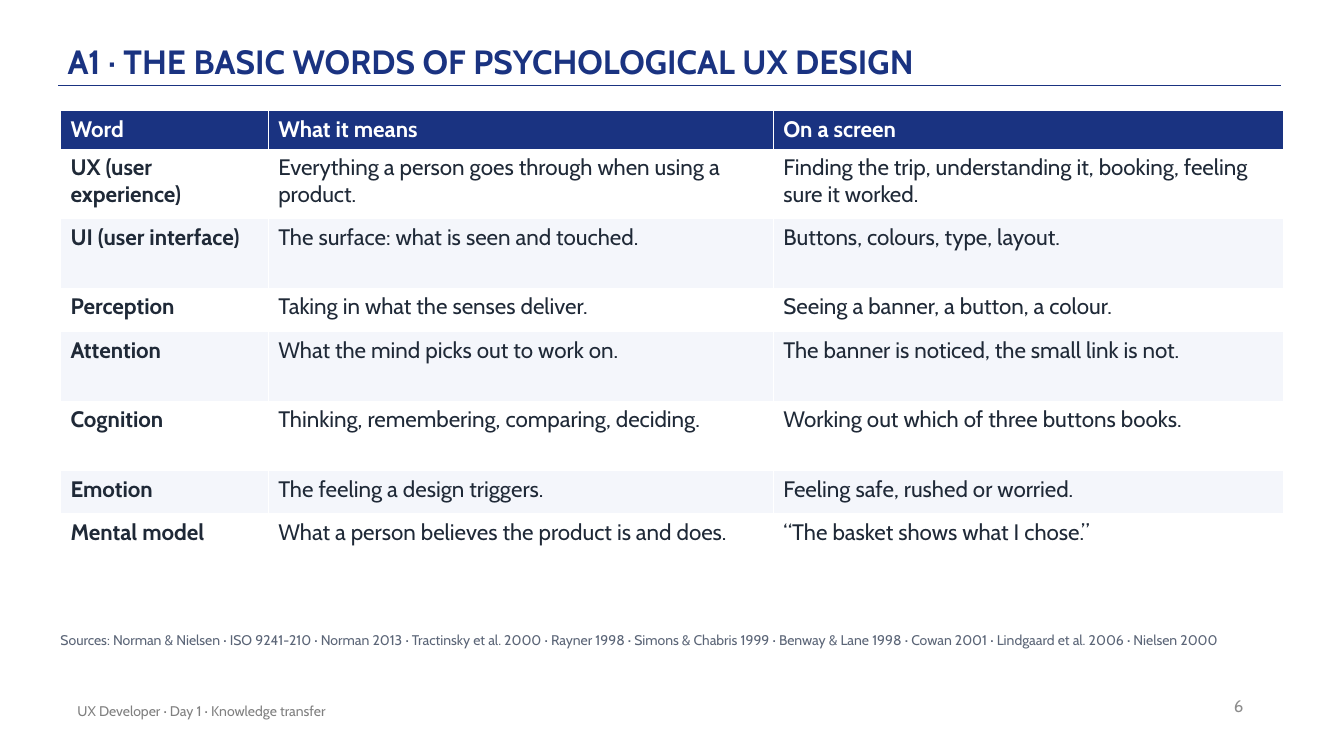
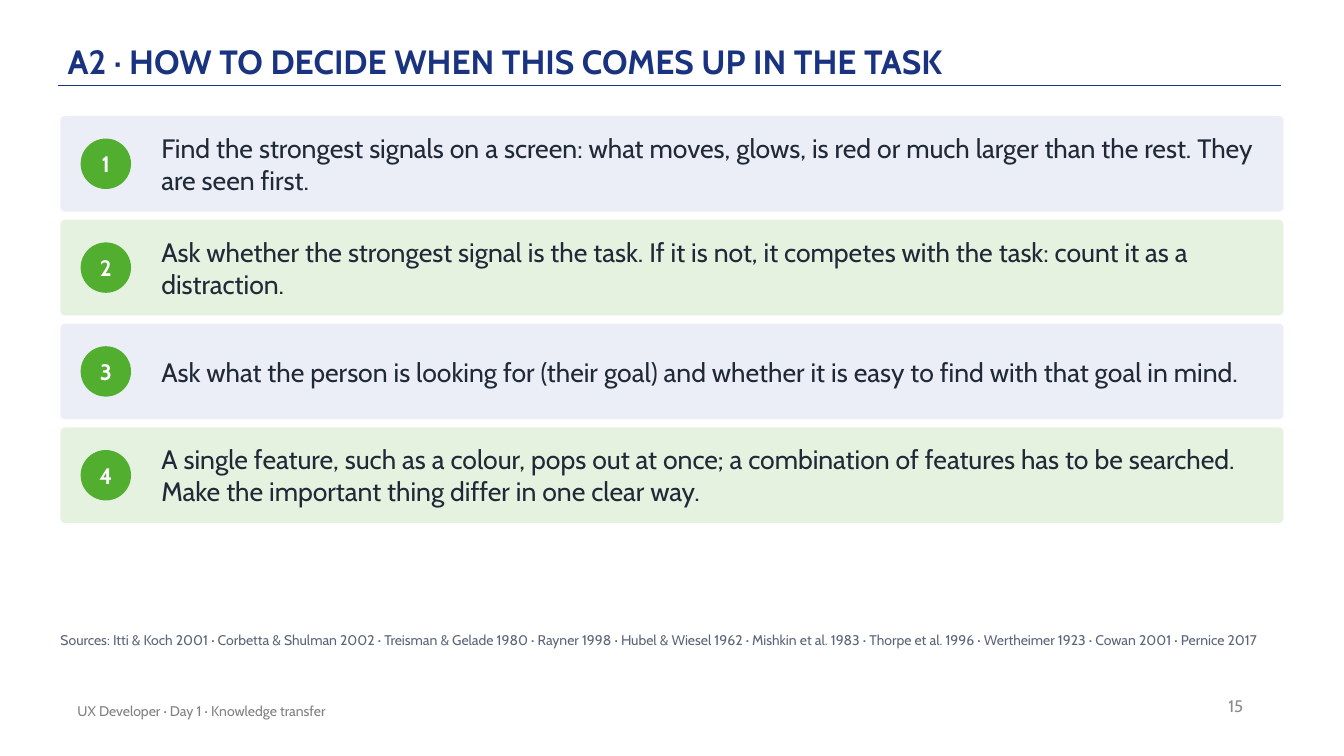
from pptx import Presentation
from pptx.dml.color import RGBColor
from pptx.enum.shapes import MSO_CONNECTOR, MSO_SHAPE
from pptx.enum.text import MSO_ANCHOR, MSO_AUTO_SIZE, PP_ALIGN
from pptx.oxml.ns import qn
from pptx.util import Inches, Pt
from lxml import etree

# Content
FOOTER = "UX Developer · Day 1 · Knowledge transfer"

WORDS = {
    "title": "A1 · THE BASIC WORDS OF PSYCHOLOGICAL UX DESIGN",
    "number": 6,
    "sources": "Sources: Norman & Nielsen · ISO 9241-210 · Norman 2013 · Tractinsky et al. 2000 · "
               "Rayner 1998 · Simons & Chabris 1999 · Benway & Lane 1998 · Cowan 2001 · "
               "Lindgaard et al. 2006 · Nielsen 2000",
    "rows": [
        ("Word", "What it means", "On a screen"),
        ("UX (user experience)", "Everything a person goes through when using a product.",
         "Finding the trip, understanding it, booking, feeling sure it worked."),
        ("UI (user interface)", "The surface: what is seen and touched.",
         "Buttons, colours, type, layout."),
        ("Perception", "Taking in what the senses deliver.",
         "Seeing a banner, a button, a colour."),
        ("Attention", "What the mind picks out to work on.",
         "The banner is noticed, the small link is not."),
        ("Cognition", "Thinking, remembering, comparing, deciding.",
         "Working out which of three buttons books."),
        ("Emotion", "The feeling a design triggers.", "Feeling safe, rushed or worried."),
        ("Mental model", "What a person believes the product is and does.",
         "“The basket shows what I chose.”"),
    ],
    "widths": (2.06, 5.01, 5.06),
    "heights": (0.38, 0.69, 0.69, 0.43, 0.69, 0.69, 0.43, 0.69),
}

DECIDE = {
    "title": "A2 · HOW TO DECIDE WHEN THIS COMES UP IN THE TASK",
    "number": 15,
    "sources": "Sources: Itti & Koch 2001 · Corbetta & Shulman 2002 · Treisman & Gelade 1980 · "
               "Rayner 1998 · Hubel & Wiesel 1962 · Mishkin et al. 1983 · Thorpe et al. 1996 · "
               "Wertheimer 1923 · Cowan 2001 · Pernice 2017",
    "steps": [
        "Find the strongest signals on a screen: what moves, glows, is red or much larger than "
        "the rest. They are seen first.",
        "Ask whether the strongest signal is the task. If it is not, it competes with the task: "
        "count it as a distraction.",
        "Ask what the person is looking for (their goal) and whether it is easy to find with "
        "that goal in mind.",
        "A single feature, such as a colour, pops out at once; a combination of features has to "
        "be searched. Make the important thing differ in one clear way.",
    ],
}

# Shared style
FONT = "Cabin"
NAVY, GREEN, INK, WHITE = "1A3381", "51AE2F", "1F2937", "FFFFFF"
SOURCE_GREY, FOOTER_GREY, NUMBER_GREY = "5B6577", "808080", "8C8C8C"
ROW_FILLS = (WHITE, "F4F6FB")
CARD_FILLS = ("ECEEF7", "E5F2DF")
LEFT, WIDTH = 0.6, 12.13


def color(value):
    return RGBColor.from_string(value)


def box(*lengths):
    return [Inches(n) for n in lengths]


def write(tf, text, size, ink, bold=False, align=PP_ALIGN.LEFT):
    tf.text = text
    p = tf.paragraphs[0]
    p.alignment = align
    for r in p.runs:
        r.font.name, r.font.size, r.font.bold = FONT, Pt(size), bold
        r.font.color.rgb = color(ink)
    return p


def set_margins(tf, x=0, y=0):
    tf.margin_left = tf.margin_right = Inches(x)
    tf.margin_top = tf.margin_bottom = Inches(y)


def add_text(s, place, text, size, ink, anchor=MSO_ANCHOR.MIDDLE, flush=False,
             align=PP_ALIGN.LEFT):
    tf = s.shapes.add_textbox(*box(*place)).text_frame
    tf.word_wrap = True
    tf.vertical_anchor = anchor
    if flush:
        set_margins(tf)
    return write(tf, text, size, ink, align=align)


def add_block(s, kind, place, fill):
    sp = s.shapes.add_shape(kind, *box(*place))
    sp.shadow.inherit = False
    sp.fill.solid()
    sp.fill.fore_color.rgb = color(fill)
    sp.line.fill.background()
    return sp


def add_slide(prs, content):
    s = prs.slides.add_slide(prs.slide_layouts[5])
    # Title and rule
    rule = s.shapes.add_connector(MSO_CONNECTOR.STRAIGHT, *box(0.58, 0.85, 12.71, 0.85))
    rule.line.color.rgb = color(NAVY)
    rule.line.width = Pt(1)
    etree.SubElement(rule._element.spPr, qn("a:effectLst"))
    title = s.shapes.title
    title.left, title.top, title.width, title.height = box(0.67, 0.12, 11, 0.72)
    tf = title.text_frame
    tf.auto_size = MSO_AUTO_SIZE.NONE
    tf.vertical_anchor = MSO_ANCHOR.BOTTOM
    set_margins(tf, y=0.03)
    write(tf, content["title"], 24, NAVY, bold=True).line_spacing = 0.9
    # Page number, footer and sources
    add_text(s, (9.43, 6.8, 3, 0.4), str(content["number"]), 12, NUMBER_GREY,
             align=PP_ALIGN.RIGHT)
    add_text(s, (0.67, 6.85, 6.7, 0.4), FOOTER, 10, FOOTER_GREY)
    p = add_text(s, (LEFT, 6.27, 12.1, 0.3), content["sources"], 10, SOURCE_GREY,
                 anchor=MSO_ANCHOR.TOP, flush=True)
    p.space_after = Pt(6)
    return s


def add_words_table(s, content):
    rows, widths, heights = content["rows"], content["widths"], content["heights"]
    table = s.shapes.add_table(len(rows), len(widths),
                               *box(LEFT, 1.1, WIDTH, sum(heights))).table
    for col, width in zip(table.columns, widths):
        col.width = Inches(width)
    for i, (row, height) in enumerate(zip(rows, heights)):
        table.rows[i].height = Inches(height)
        header = i == 0
        for j, text in enumerate(row):
            cell = table.cell(i, j)
            cell.fill.solid()
            cell.fill.fore_color.rgb = color(NAVY if header else ROW_FILLS[(i - 1) % 2])
            write(cell.text_frame, text, 16, WHITE if header else INK, bold=header or j == 0)


def add_steps(s, steps):
    top, height, gap, dot = 1.15, 0.95, 0.08, 0.5
    for i, step in enumerate(steps):
        y = top + i * (height + gap)
        card = add_block(s, MSO_SHAPE.ROUNDED_RECTANGLE, (LEFT, y, WIDTH, height),
                         CARD_FILLS[i % 2])
        card.adjustments[0] = 0.05
        badge = add_block(s, MSO_SHAPE.OVAL, (0.8, y + (height - dot) / 2, dot, dot), GREEN)
        set_margins(badge.text_frame)
        badge.text_frame.vertical_anchor = MSO_ANCHOR.MIDDLE
        write(badge.text_frame, str(i + 1), 16, WHITE, bold=True, align=PP_ALIGN.CENTER)
        add_text(s, (1.6, y, 10.93, height), step, 19, INK, flush=True)


def main():
    prs = Presentation()
    prs.slide_width, prs.slide_height = box(13.33, 7.5)
    add_words_table(add_slide(prs, WORDS), WORDS)
    add_steps(add_slide(prs, DECIDE), DECIDE["steps"])
    prs.save("out.pptx")


if __name__ == "__main__":
    main()
